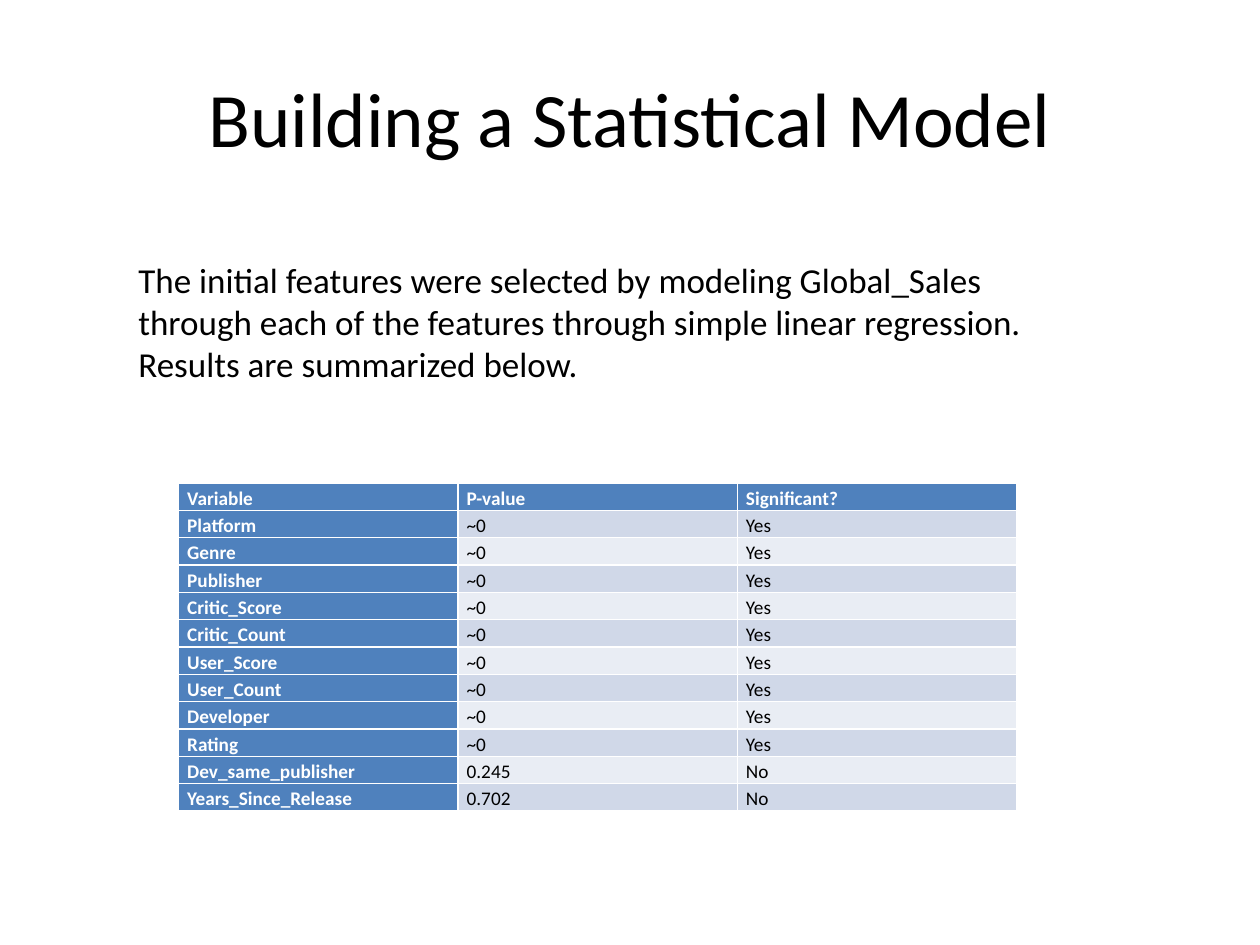
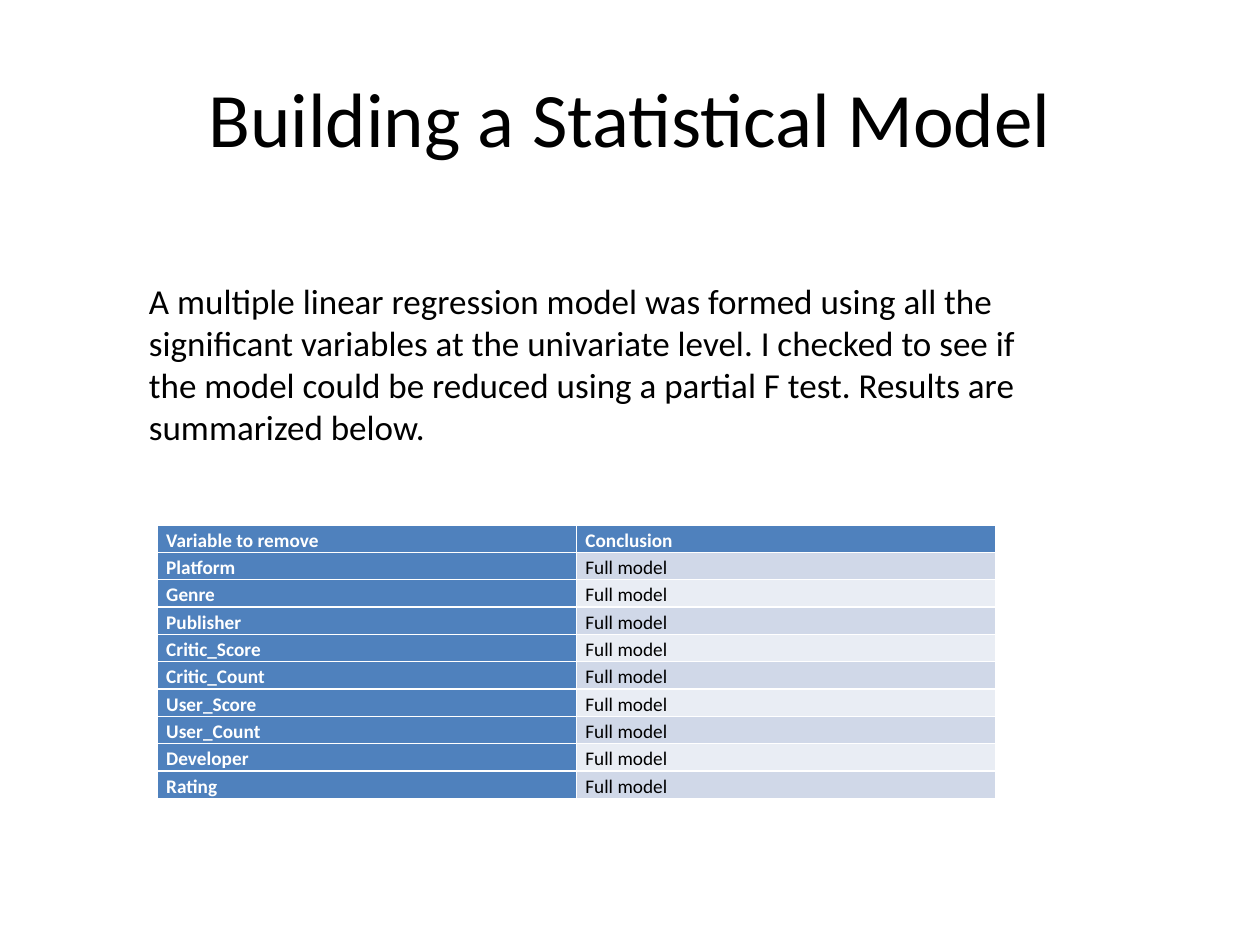
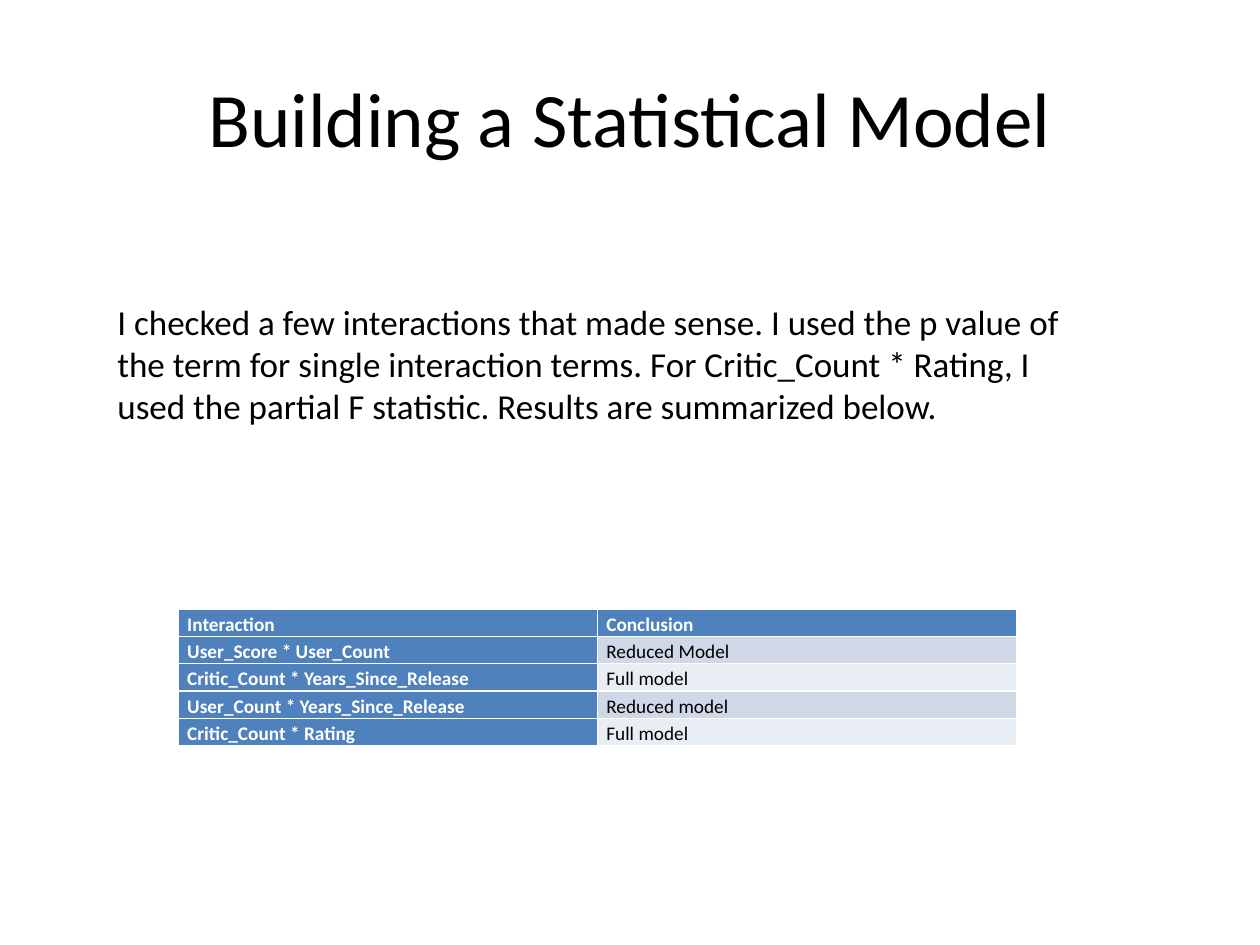
from pptx import Presentation
from pptx.dml.color import RGBColor
from pptx.enum.text import MSO_ANCHOR, MSO_AUTO_SIZE, PP_ALIGN
from pptx.util import Pt

BLACK = RGBColor(0x00, 0x00, 0x00)
WHITE = RGBColor(0xFF, 0xFF, 0xFF)
BLUE = RGBColor(0x4F, 0x81, 0xBD)
DARK_BAND = RGBColor(0xD0, 0xD8, 0xE8)
LIGHT_BAND = RGBColor(0xE9, 0xED, 0xF4)
TITLE_ONLY = 5


class ModelDeck:
    font_name = "Calibri"
    title_text = "Building a Statistical Model"
    table_width = 479
    row_height = 15.5
    cell_margin = 5

    def __init__(self):
        self.deck = Presentation()
        self.deck.slide_width = Pt(720)
        self.deck.slide_height = Pt(540)
        self.page = None

    def add_span(self, para, text, size, color=BLACK, bold=False):
        span = para.add_run()
        span.text = text
        span.font.name = self.font_name
        span.font.size = Pt(size)
        span.font.color.rgb = color
        span.font.bold = bold

    def add_page(self):
        self.page = self.deck.slides.add_slide(self.deck.slide_layouts[TITLE_ONLY])
        title = self.page.shapes.title
        title.left, title.top = Pt(36), Pt(21.6)
        title.width, title.height = Pt(648), Pt(90)
        title.text_frame.vertical_anchor = MSO_ANCHOR.MIDDLE
        para = title.text_frame.paragraphs[0]
        para.alignment = PP_ALIGN.CENTER
        self.add_span(para, self.title_text, 44)

    def add_table(self, left, top, rows):
        column_count = len(rows[0])
        table = self.page.shapes.add_table(
            len(rows), column_count, Pt(left), Pt(top),
            Pt(self.table_width), Pt(self.row_height * len(rows))).table
        table.first_col = True
        for column in table.columns:
            column.width = Pt(self.table_width / column_count)
        for row_index, row in enumerate(rows):
            table.rows[row_index].height = Pt(self.row_height)
            for column_index, text in enumerate(row):
                is_header = row_index == 0 or column_index == 0
                band = DARK_BAND if row_index % 2 else LIGHT_BAND
                self.fill_cell(table.cell(row_index, column_index), text, is_header, band)

    def fill_cell(self, cell, text, is_header, band):
        cell.margin_left = cell.margin_right = Pt(self.cell_margin)
        cell.margin_top = cell.margin_bottom = Pt(0)
        cell.fill.solid()
        cell.fill.fore_color.rgb = BLUE if is_header else band
        para = cell.text_frame.paragraphs[0]
        para.line_spacing = 1.15
        self.add_span(para, text, 11, WHITE if is_header else BLACK, is_header)

    def add_text(self, left, top, width, height, text):
        box = self.page.shapes.add_textbox(Pt(left), Pt(top), Pt(width), Pt(height))
        box.text_frame.word_wrap = True
        box.text_frame.auto_size = MSO_AUTO_SIZE.SHAPE_TO_FIT_TEXT
        self.add_span(box.text_frame.paragraphs[0], text, 20)


significant_variables = [
    "Platform", "Genre", "Publisher", "Critic_Score", "Critic_Count",
    "User_Score", "User_Count", "Developer", "Rating",
]

model = ModelDeck()

model.add_page()
model.add_table(102, 276, [
    ("Variable", "P-value", "Significant?"),
    *[(name, "~0", "Yes") for name in significant_variables],
    ("Dev_same_publisher", "0.245", "No"),
    ("Years_Since_Release", "0.702", "No"),
])
model.add_text(
    72, 144, 546, 80,
    "The initial features were selected by modeling Global_Sales through each of "
    "the features through simple linear regression. Results are summarized below.")

model.add_page()
model.add_table(90, 300, [
    ("Variable to remove", "Conclusion"),
    *[(name, "Full model") for name in significant_variables],
])
model.add_text(
    78, 156, 528, 104,
    "A multiple linear regression model was formed using all the significant "
    "variables at the univariate level. I checked to see if the model could be "
    "reduced using a partial F test. Results are summarized below.")

model.add_page()
model.add_table(102, 348, [
    ("Interaction", "Conclusion"),
    ("User_Score * User_Count", "Reduced Model"),
    ("Critic_Count * Years_Since_Release", "Full model"),
    ("User_Count * Years_Since_Release", "Reduced model"),
    ("Critic_Count * Rating", "Full model"),
])
model.add_text(
    60, 168, 576, 80,
    "I checked a few interactions that made sense. I used the p value of the term "
    "for single interaction terms. For Critic_Count * Rating, I used the partial "
    "F statistic. Results are summarized below.")

model.deck.save("out.pptx")
